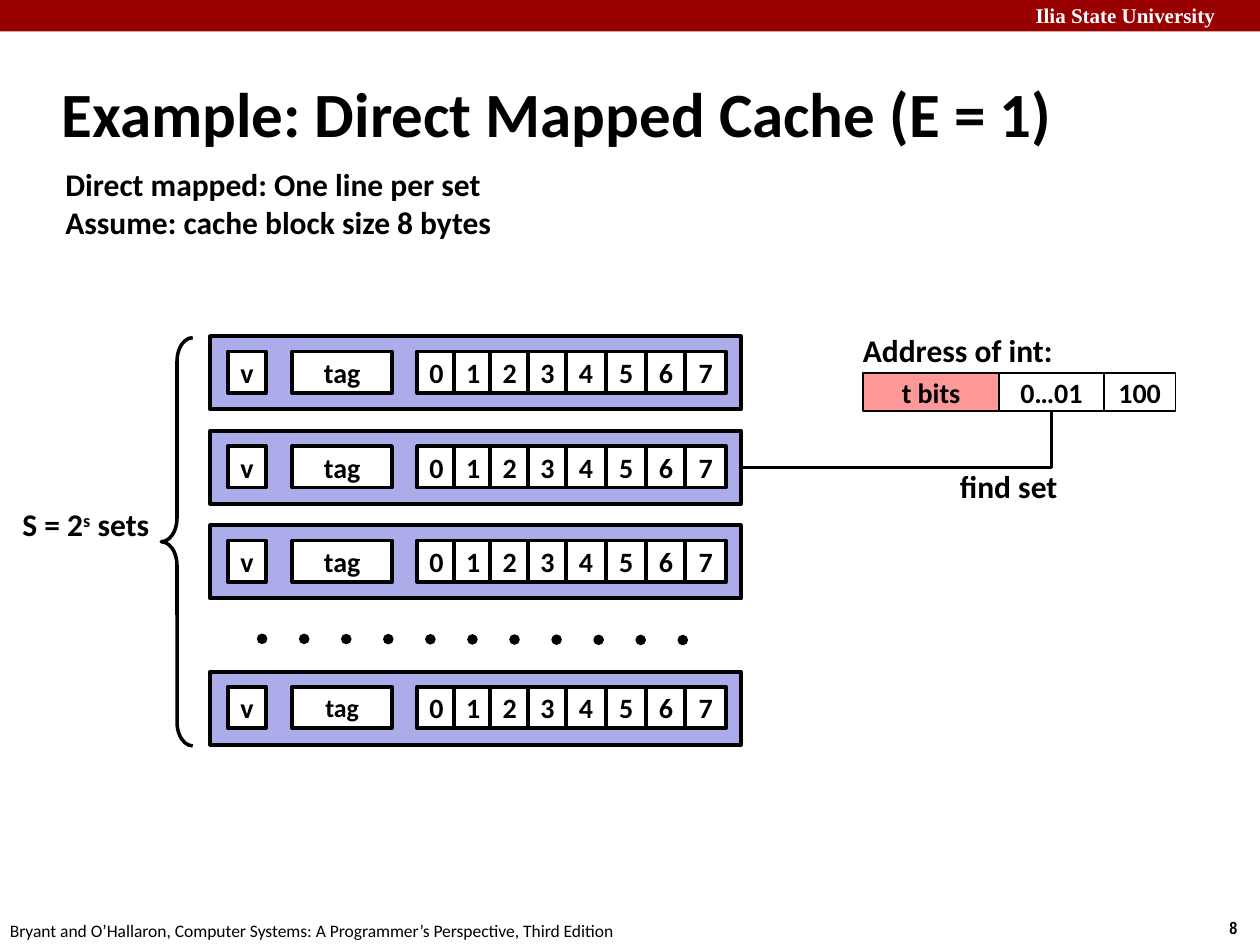
from pptx import Presentation
from pptx.dml.color import RGBColor
from pptx.enum.shapes import MSO_CONNECTOR, MSO_SHAPE
from pptx.enum.text import MSO_ANCHOR, PP_ALIGN
from pptx.oxml.ns import qn
from pptx.util import Inches, Pt
from lxml import etree

RECT, BRACE = MSO_SHAPE.RECTANGLE, MSO_SHAPE.LEFT_BRACE
STRAIGHT, ELBOW = MSO_CONNECTOR.STRAIGHT, MSO_CONNECTOR.ELBOW
TOP, MIDDLE = MSO_ANCHOR.TOP, MSO_ANCHOR.MIDDLE
LEFT, CENTER = PP_ALIGN.LEFT, PP_ALIGN.CENTER
BOTTOM_SIDE, RIGHT_SIDE = 2, 3

THEME = {
    "black": "000000", "white": "FFFFFF", "banner": "990000",
    "set": "ACACEA", "tag": "FF9999",
    "title": dict(name="Calibri", size=36, bold=True),
    "label": dict(name="Calibri", size=18, bold=True),
    "cell": dict(name="Calibri", size=16, bold=True),
    "small_cell": dict(name="Calibri", size=14.8, bold=True),
    "footer": dict(name="Calibri", size=10, bold=False),
    "number": dict(name="Arial Narrow", size=10, bold=True),
    "school": dict(name="Times New Roman", size=12, bold=True),
}

# Content: (box, paragraphs, style, colour, anchor); "^" encloses superscripts
TEXTS = [
    ((8.12, -0.03, 1.95, 0.5), ["Ilia State University"], "school", "white", TOP),
    ((9.66, 7.23, 0.34, 0.27), ["8"], "number", "black", TOP),
    ((-0.02, 7.25, 5.08, 0.27),
     ["Bryant and O’Hallaron, Computer Systems: A Programmer’s Perspective, Third Edition"],
     "footer", "black", TOP),
    ((0.39, 0.48, 8.3, 0.83), ["Example: Direct Mapped Cache (E = 1)"],
     "title", "black", MIDDLE),
    ((0.42, 1.26, 3.61, 0.71),
     ["Direct mapped: One line per set", "Assume: cache block size 8 bytes"],
     "label", "black", TOP),
    ((0.08, 3.96, 1.23, 0.4), ["S = 2^s^ sets"], "label", "black", TOP),
    ((6.75, 2.58, 1.72, 0.4), ["Address of int:"], "label", "black", TOP),
    ((7.52, 3.66, 0.98, 0.4), ["find set"], "label", "black", TOP),
]
ADDRESS = [("t bits", 1.08, "tag"), ("0…01", 0.83, "white"), ("100", 0.57, "white")]
SET_TOPS = [2.67, 3.42, 4.17, 5.33]
BYTE_EDGES = [3.31, 3.6, 3.89, 4.19, 4.49, 4.81, 5.13, 5.44, 5.76]
LINE_CELLS = [("v", 1.81, 0.3), ("tag", 2.32, 0.79)] + [
    (str(i), left, right - left)
    for i, (left, right) in enumerate(zip(BYTE_EDGES, BYTE_EDGES[1:]))]


def color(key):
    return RGBColor.from_string(THEME[key])


def write(tf, paragraphs, style, ink, anchor, align):
    tf.vertical_anchor = anchor
    font = {**THEME[style], "size": Pt(THEME[style]["size"])}
    for i, text in enumerate(paragraphs):
        p = tf.paragraphs[0] if i == 0 else tf.add_paragraph()
        p.alignment = align
        for j, part in enumerate(text.split("^")):
            r = p.add_run()
            r.text = part
            for key, value in font.items():
                setattr(r.font, key, value)
            r.font.color.rgb = color(ink)
            if j % 2:
                r.font._element.set("baseline", "30000")


def add_text(s, box, paragraphs, style, ink, anchor):
    tf = s.shapes.add_textbox(*map(Inches, box)).text_frame
    tf.word_wrap = False
    write(tf, paragraphs, style, ink, anchor, LEFT)


def add_shape(s, kind, box, fill=None, width=None, text=None, style="cell"):
    sp = s.shapes.add_shape(kind, *map(Inches, box))
    sp.shadow.inherit = False
    if fill:
        sp.fill.solid()
        sp.fill.fore_color.rgb = color(fill)
    else:
        sp.fill.background()
    if width:
        sp.line.color.rgb = color("black")
        sp.line.width = Pt(width)
    else:
        sp.line.fill.background()
    if text:
        write(sp.text_frame, [text], style, "black", MIDDLE, CENTER)
    return sp


def add_line(s, kind, ends, width):
    c = s.shapes.add_connector(kind, *map(Inches, ends))
    c.line.color.rgb = color("black")
    c.line.width = Pt(width)
    etree.SubElement(c._element.spPr, qn("a:effectLst"))
    return c


prs = Presentation()
prs.slide_width, prs.slide_height = Inches(10), Inches(7.5)
s = prs.slides.add_slide(prs.slide_layouts[6])

# Banner and all free-standing text
add_shape(s, RECT, (0, 0, 10, 0.25), "banner")
for item in TEXTS:
    add_text(s, *item)

# Brace over all sets
brace = add_shape(s, BRACE, (1.28, 2.68, 0.25, 3.24), width=2)
brace.adjustments[0], brace.adjustments[1] = 0.75, 0.5

# Dots standing for the sets left out
dots = add_line(s, STRAIGHT, (2.08, 5.07, 5.5, 5.08), 6)
ln = dots.line._get_or_add_ln()
ln.set("cap", "rnd")
dash = etree.Element(qn("a:prstDash"), val="dot")
ln.find(qn("a:solidFill")).addnext(dash)

# Address fields
fields = []
x = 6.85
for text, w, fill in ADDRESS:
    fields.append(add_shape(s, RECT, (x, 2.96, w, 0.3), fill, 1, text))
    x += w

# Cache sets, each with one line
sets = []
for top in SET_TOPS:
    sets.append(add_shape(s, RECT, (1.67, top, 4.21, 0.58), "set", 2.25))
    for text, left, w in LINE_CELLS:
        last_tag = text == "tag" and top == SET_TOPS[-1]
        add_shape(s, RECT, (left, top + 0.12, w, 0.33), "white", 2.25, text,
                  "small_cell" if last_tag else "cell")

# Elbow from the set index down and left to the second set
elbow = add_line(s, ELBOW, (8.35, 3.26, 5.88, 3.71), 2)
elbow.begin_connect(fields[1], BOTTOM_SIDE)
elbow.end_connect(sets[1], RIGHT_SIDE)
across, down = elbow.width, elbow.height
center_x, center_y = elbow.left + across // 2, elbow.top + down // 2
elbow._element.spPr.find(qn("a:xfrm")).attrib.pop("flipH", None)
elbow._element.spPr.find(qn("a:prstGeom")).set("prst", "bentConnector2")
elbow.left, elbow.top = center_x - down // 2, center_y - across // 2
elbow.width, elbow.height = down, across
elbow.rotation = 90

prs.save("out.pptx")
